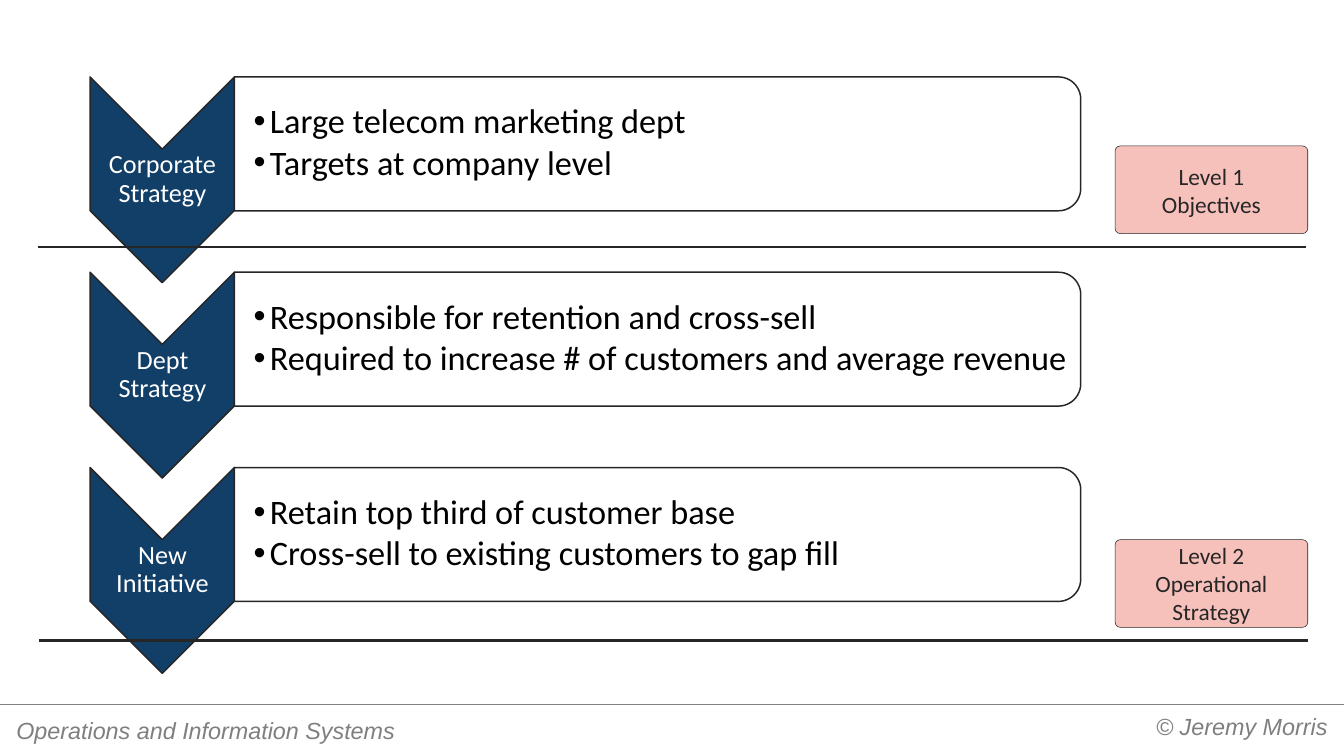
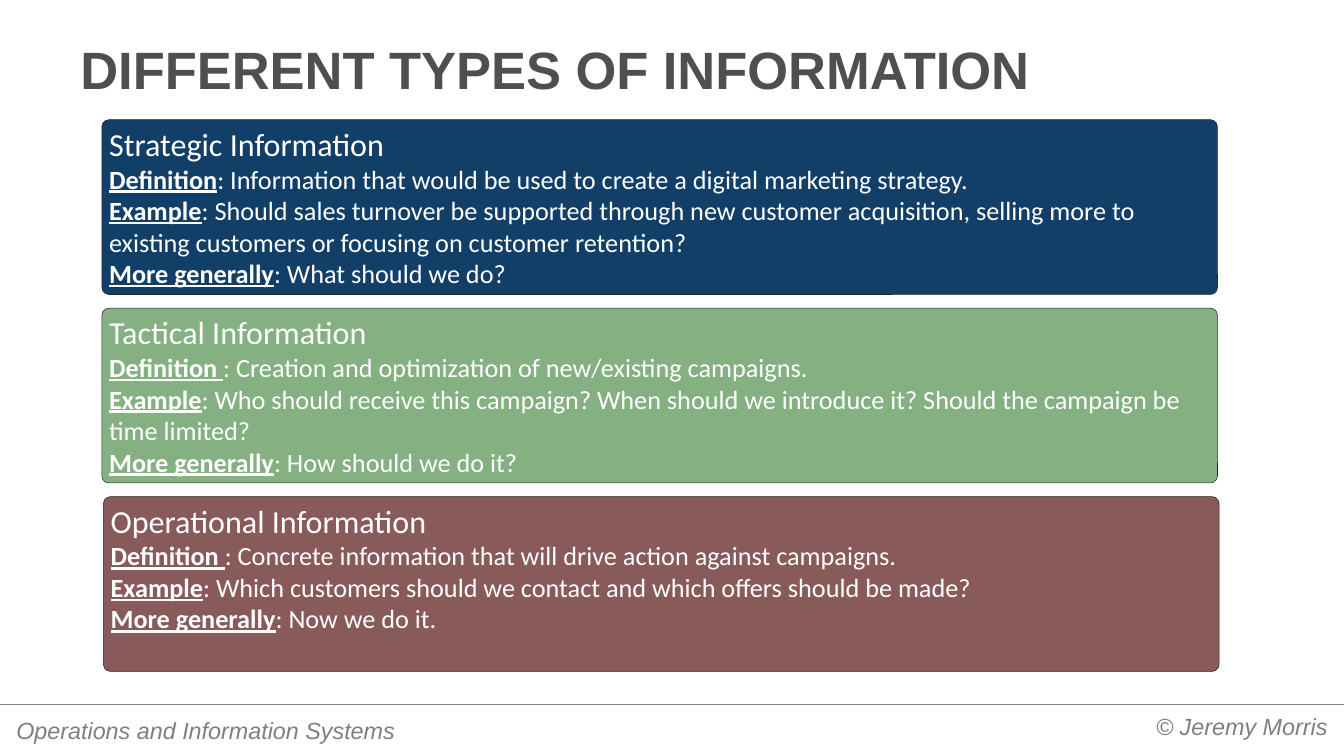
from dataclasses import dataclass
from typing import Any, NamedTuple

from lxml import etree
from pptx import Presentation
from pptx.dml.color import RGBColor
from pptx.enum.shapes import MSO_CONNECTOR, MSO_SHAPE
from pptx.enum.text import MSO_ANCHOR, MSO_AUTO_SIZE, PP_ALIGN
from pptx.oxml.ns import qn
from pptx.util import Emu, Pt

LEFT, CENTER, RIGHT = PP_ALIGN.LEFT, PP_ALIGN.CENTER, PP_ALIGN.RIGHT
TOP, MIDDLE, BOTTOM = MSO_ANCHOR.TOP, MSO_ANCHOR.MIDDLE, MSO_ANCHOR.BOTTOM
NO_AUTOFIT = MSO_AUTO_SIZE.NONE
STRAIGHT = MSO_CONNECTOR.STRAIGHT
CHEVRON, ROUNDED = MSO_SHAPE.CHEVRON, MSO_SHAPE.ROUNDED_RECTANGLE
ROUNDED_TOP = MSO_SHAPE.ROUND_2_SAME_RECTANGLE
TITLE_ONLY, BLANK = 5, 6
EMU_PER_PX = 9144  # 100 px to the inch


@dataclass(frozen=True)
class Theme:
    """Colours, fonts and type sizes of the whole presentation."""
    navy: str = "123F68"
    green: str = "84B082"
    maroon: str = "885A5A"
    pink: str = "F7C1BB"
    white: str = "FFFFFF"
    black: str = "000000"
    ink: str = "262626"
    title_ink: str = "4F4F4F"
    footer_ink: str = "7F7F7F"
    footer_rule: str = "808080"
    body_font: str = "Calibri"
    heading_font: str = "Arial"
    title_size: int = 72
    bullet_size: int = 47
    heading_size: int = 44
    text_size: int = 36
    small_size: int = 32
    hairline: float = 0.75
    outline: int = 2
    divider: int = 3


THEME = Theme()


class Box(NamedTuple):
    left: int
    top: int
    width: int
    height: int


class TextStyle(NamedTuple):
    size: int
    color: str
    font: str = THEME.body_font
    bold: bool = False
    italic: bool = False
    underline: bool = False


class Run(NamedTuple):
    text: str
    style: TextStyle


class FrameLayout(NamedTuple):
    anchor: Any = TOP
    side_inset: int = 10
    end_inset: int = 5
    left_inset: int | None = None


class Step(NamedTuple):
    label: str
    bullets: list[str]


class LevelTag(NamedTuple):
    lines: list[str]
    top: int


class InformationPanel(NamedTuple):
    heading: str
    color: str
    left: int
    entries: list[tuple[str, str]]


TITLE = TextStyle(THEME.title_size, THEME.title_ink, THEME.heading_font, bold=True)
FOOTER = TextStyle(THEME.small_size, THEME.footer_ink, THEME.heading_font, italic=True)
STEP_LABEL = TextStyle(THEME.text_size, THEME.white)
BULLET = TextStyle(THEME.bullet_size, THEME.black)
TAG = TextStyle(THEME.small_size, THEME.ink)
PANEL_HEADING = TextStyle(THEME.heading_size, THEME.white)
PANEL_TEXT = TextStyle(THEME.text_size, THEME.white)
PANEL_TERM = PANEL_TEXT._replace(bold=True, underline=True)

STEPS = [
    Step("Corporate Strategy", ["Large telecom marketing dept", "Targets at company level"]),
    Step("Dept Strategy", ["Responsible for retention and cross-sell",
                           "Required to increase # of customers and average revenue"]),
    Step("New Initiative", ["Retain top third of customer base",
                            "Cross-sell to existing customers to gap fill"]),
]
STEP_TOP, STEP_PITCH = 146, 372
TAGS = [
    LevelTag(["Level 1", "Objectives"], 278),
    LevelTag(["Level 2", "Operational", "Strategy"], 1028),
]
DIVIDERS = [(72, 2488, 470), (74, 2491, 1220)]

PANELS = [
    InformationPanel("Strategic Information", THEME.navy, 194, [
        ("Definition", ": Information that would be used to create a digital marketing strategy."),
        ("Example", ": Should sales turnover be supported through new customer acquisition, "
                    "selling more to existing customers or focusing on customer retention?"),
        ("More generally", ": What should we do?"),
    ]),
    InformationPanel("Tactical Information", THEME.green, 194, [
        ("Definition ", ": Creation and optimization of new/existing campaigns."),
        ("Example", ": Who should receive this campaign? When should we introduce it? "
                    "Should the campaign be time limited?"),
        ("More generally", ": How should we do it?"),
    ]),
    InformationPanel("Operational Information", THEME.maroon, 197, [
        ("Definition ", ": Concrete information that will drive action against campaigns."),
        ("Example", ": Which customers should we contact and which offers should be made?"),
        ("More generally", ": Now we do it."),
    ]),
]
PANEL_TOP, PANEL_PITCH = 228, 359


def px(length: int) -> Emu:
    return Emu(length * EMU_PER_PX)


def rgb(color: str) -> RGBColor:
    return RGBColor.from_string(color)


def apply_format(target: Any, values: dict[str, Any]) -> None:
    for name, value in values.items():
        setattr(target, name, value)


def write_text(shape: Any, paragraphs: list[list[Run]], layout: FrameLayout,
               paragraph_format: dict[str, Any]) -> None:
    frame = shape.text_frame
    left_inset = layout.side_inset if layout.left_inset is None else layout.left_inset
    apply_format(frame, {
        "word_wrap": True, "auto_size": NO_AUTOFIT, "vertical_anchor": layout.anchor,
        "margin_left": px(left_inset), "margin_right": px(layout.side_inset),
        "margin_top": px(layout.end_inset), "margin_bottom": px(layout.end_inset),
    })
    for index, runs in enumerate(paragraphs):
        paragraph = frame.add_paragraph() if index else frame.paragraphs[0]
        apply_format(paragraph, paragraph_format)
        for text, style in runs:
            run = paragraph.add_run()
            run.text = text
            apply_format(run.font, {
                "name": style.font, "size": Pt(style.size), "bold": style.bold,
                "italic": style.italic, "underline": style.underline,
            })
            run.font.color.rgb = rgb(style.color)


def add_text(slide: Any, box: Box, paragraphs: list[list[Run]], layout: FrameLayout,
             paragraph_format: dict[str, Any]) -> Any:
    shape = slide.shapes.add_textbox(*map(px, box))
    write_text(shape, paragraphs, layout, paragraph_format)
    return shape


def add_block(slide: Any, kind: Any, box: Box, fill: str, line_width: float) -> Any:
    shape = slide.shapes.add_shape(kind, *map(px, box))
    shape.shadow.inherit = False
    shape.fill.solid()
    shape.fill.fore_color.rgb = rgb(fill)
    shape.line.color.rgb = rgb(THEME.ink)
    shape.line.width = Pt(line_width)
    return shape


def add_turned_block(slide: Any, kind: Any, box: Box, fill: str) -> None:
    """Add a shape turned a quarter clockwise that covers the given box."""
    shift = (box.width - box.height) // 2
    upright = Box(box.left + shift, box.top - shift, box.height, box.width)
    add_block(slide, kind, upright, fill, THEME.outline).rotation = 90


def add_rule(slide: Any, left: int, right: int, top: int, color: str, width: float) -> None:
    rule = slide.shapes.add_connector(STRAIGHT, px(left), px(top), px(right), px(top))
    rule.line.color.rgb = rgb(color)
    rule.line.width = Pt(width)
    etree.SubElement(rule._element.spPr, qn("a:effectLst"))


def add_bullets(shape: Any, indent: int) -> None:
    for paragraph in shape.text_frame.paragraphs:
        properties = paragraph._p.get_or_add_pPr()
        properties.set("marL", str(px(indent)))
        properties.set("indent", str(px(-indent)))
        font = etree.SubElement(properties, qn("a:buFont"))
        font.set("typeface", THEME.heading_font)
        etree.SubElement(properties, qn("a:buChar")).set("char", "•")


def add_slide(presentation: Any, layout_index: int) -> Any:
    """Add a slide with the shared footer."""
    slide = presentation.slides.add_slide(presentation.slide_layouts[layout_index])
    add_rule(slide, 0, 2560, 1341, THEME.footer_rule, THEME.hairline)
    layout = FrameLayout(side_inset=18, end_inset=9)
    for box, text, alignment in (
        (Box(1458, 1348, 1089, 126 - 40), "© Jeremy Morris", RIGHT),
        (Box(13, 1356, 875, 72), "Operations and Information Systems", LEFT),
    ):
        add_text(slide, box, [[Run(text, FOOTER)]], layout, {"alignment": alignment})
    return slide


def draw_step(slide: Any, step: Step, top: int) -> None:
    add_turned_block(slide, CHEVRON, Box(172, top, 275, 392), THEME.navy)
    add_text(slide, Box(172, top + 137, 275, 118), [[Run(step.label, STEP_LABEL)]],
             FrameLayout(MIDDLE, 3, 3), {"alignment": CENTER, "line_spacing": 0.9})
    add_turned_block(slide, ROUNDED_TOP, Box(447, top, 1612, 255), THEME.white)
    bullets = add_text(slide, Box(446, top + 12, 1600, 230),
                       [[Run(text, BULLET)] for text in step.bullets],
                       FrameLayout(MIDDLE, 3, 3, left_inset=37),
                       {"alignment": LEFT, "line_spacing": 0.9, "space_after": Pt(6)})
    add_bullets(bullets, 31)


def draw_tag(slide: Any, tag: LevelTag) -> None:
    shape = add_block(slide, ROUNDED, Box(2124, tag.top, 367, 167), THEME.pink, THEME.hairline)
    shape.adjustments[0] = 0.06
    write_text(shape, [[Run(line, TAG)] for line in tag.lines],
               FrameLayout(MIDDLE), {"alignment": CENTER})


def draw_panel(slide: Any, panel: InformationPanel, top: int) -> None:
    shape = add_block(slide, ROUNDED, Box(panel.left, top, 2125, 333),
                      panel.color, THEME.hairline)
    shape.adjustments[0] = 0.04
    entries = [[Run(term, PANEL_TERM), Run(text, PANEL_TEXT)] for term, text in panel.entries]
    write_text(shape, [[Run(panel.heading, PANEL_HEADING)], *entries],
               FrameLayout(), {"alignment": LEFT})


def draw_title(slide: Any, text: str) -> None:
    title = slide.shapes.title
    box = Box(128, 53, 2304, 149)
    apply_format(title, dict(zip(box._fields, map(px, box))))
    write_text(title, [[Run(text, TITLE)]], FrameLayout(BOTTOM, 25, 12), {"alignment": LEFT})


def draw_strategy_slide(presentation: Any) -> None:
    slide = add_slide(presentation, BLANK)
    for index, step in enumerate(STEPS):
        draw_step(slide, step, STEP_TOP + index * STEP_PITCH)
    for left, right, top in DIVIDERS:
        add_rule(slide, left, right, top, THEME.ink, THEME.divider)
    for tag in TAGS:
        draw_tag(slide, tag)


def draw_information_slide(presentation: Any) -> None:
    slide = add_slide(presentation, TITLE_ONLY)
    draw_title(slide, "DIFFERENT TYPES OF INFORMATION")
    for index, panel in enumerate(PANELS):
        draw_panel(slide, panel, PANEL_TOP + index * PANEL_PITCH)


def main() -> None:
    presentation = Presentation()
    presentation.slide_width, presentation.slide_height = px(2560), px(1440)
    draw_strategy_slide(presentation)
    draw_information_slide(presentation)
    presentation.save("out.pptx")


if __name__ == "__main__":
    main()
